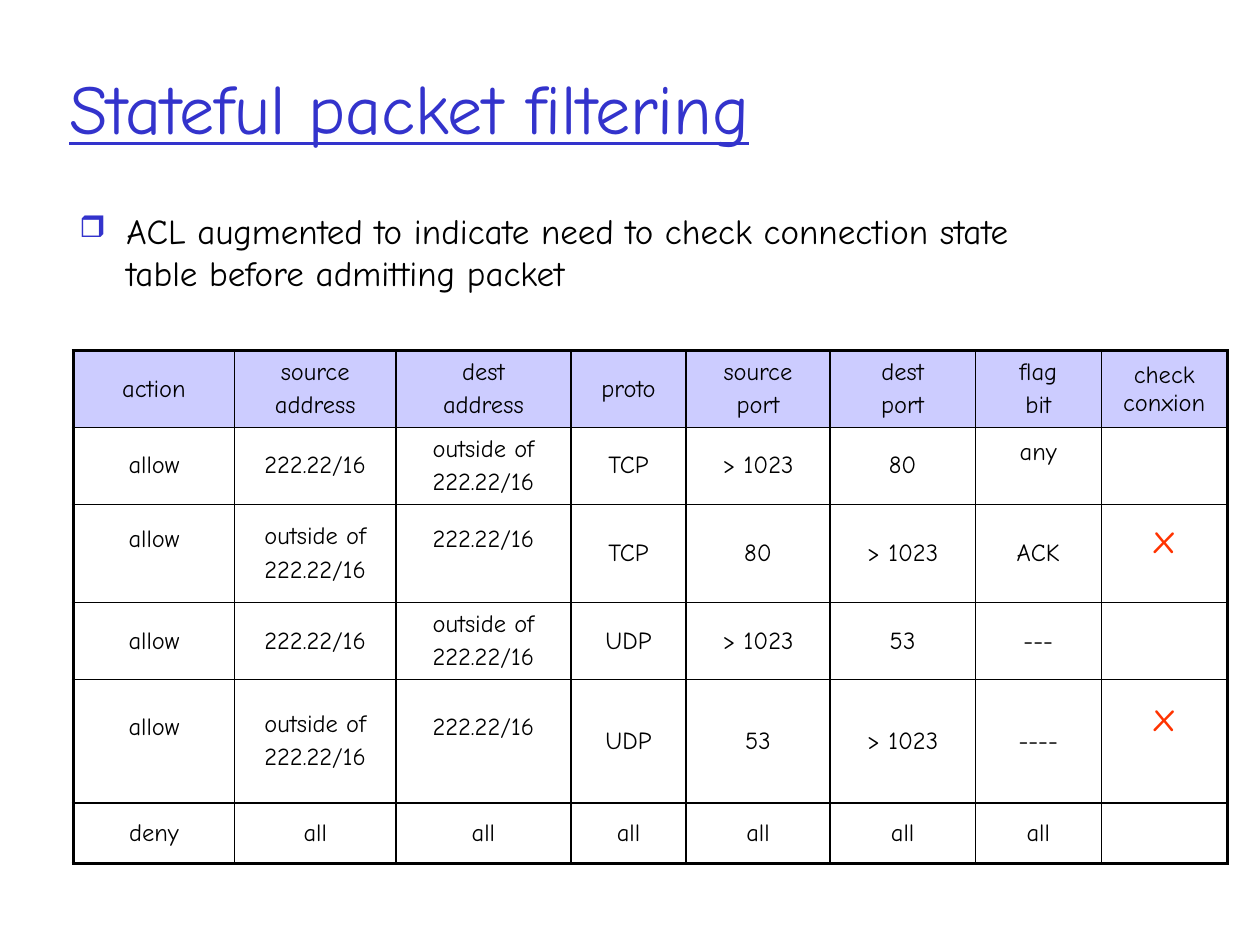
from dataclasses import dataclass

from lxml.etree import SubElement
from pptx import Presentation
from pptx.dml.color import RGBColor
from pptx.enum.text import MSO_ANCHOR as Anchor, PP_ALIGN as Align
from pptx.oxml.ns import qn
from pptx.slide import Slide
from pptx.util import Cm, Pt

BLACK = RGBColor(0x00, 0x00, 0x00)
BLUE = RGBColor(0x33, 0x33, 0xCC)
LAVENDER = RGBColor(0xCC, 0xCC, 0xFF)
RED = RGBColor(0xFF, 0x33, 0x00)

COLUMN_WIDTHS = [3.25, 3.25, 3.53, 2.32, 2.9, 2.93, 2.54, 2.54]
ROW_HEIGHTS = [1.55, 1.55, 1.98, 1.55, 2.49, 1.22]
INSIDE = "222.22/16"
OUTSIDE = "outside of\n222.22/16"
RULES = [
    ["action", "source\naddress", "dest\naddress", "proto",
     "source\nport", "dest\nport", "flag\nbit", "check conxion"],
    ["allow", INSIDE, OUTSIDE, "TCP", "> 1023", "80", "any", ""],
    ["allow", OUTSIDE, INSIDE, "TCP", "80", "> 1023", "ACK", "x"],
    ["allow", INSIDE, OUTSIDE, "UDP", "> 1023", "53", "---", ""],
    ["allow", OUTSIDE, INSIDE, "UDP", "53", "> 1023", "----", "x"],
    ["deny"] + ["all"] * 6 + [""],
]
SMALL_RAISE, LARGE_RAISE = 0.56, 0.96
RAISED_CELLS = {
    (1, 6): SMALL_RAISE,
    (2, 0): SMALL_RAISE, (2, 2): SMALL_RAISE, (2, 7): SMALL_RAISE,
    (4, 0): SMALL_RAISE, (4, 2): SMALL_RAISE, (4, 7): LARGE_RAISE,
}


@dataclass
class SlideBuilder:
    page: Slide
    font: str = "Comic Neue"
    thin: float = 1
    thick: float = 2.25

    def place(self, shape, left, top, width, height):
        shape.left, shape.top = Cm(left), Cm(top)
        shape.width, shape.height = Cm(width), Cm(height)

    def span(self, para, text, size, color, underline=None):
        span = para.add_run()
        span.text = text
        span.font.name = self.font
        span.font.size = Pt(size)
        span.font.color.rgb = color
        span.font.underline = underline

    def title(self, text, *area):
        box = self.page.shapes.title
        self.place(box, *area)
        box.text_frame.vertical_anchor = Anchor.MIDDLE
        para = box.text_frame.paragraphs[0]
        para.alignment = Align.LEFT
        self.span(para, text, 40, BLUE, underline=True)

    def bullet(self, text, left, top, width, height):
        box = self.page.shapes.add_textbox(Cm(left), Cm(top), Cm(width), Cm(height))
        box.text_frame.word_wrap = True
        para = box.text_frame.paragraphs[0]
        para.space_before = Pt(4)
        properties = para._p.get_or_add_pPr()
        properties.set("marL", str(Cm(0.95)))
        properties.set("indent", str(-Cm(0.95)))
        color = SubElement(properties, qn("a:buClr"))
        SubElement(color, qn("a:srgbClr"), val=str(BLUE))
        SubElement(properties, qn("a:buSzPct"), val="85000")
        SubElement(properties, qn("a:buChar"), char="❒")
        self.span(para, text, 20, BLACK)

    def borders(self, cell, edges):
        properties = cell._tc.get_or_add_tcPr()
        for side, outer in edges.items():
            width = Pt(self.thick if outer else self.thin)
            line = SubElement(properties, qn(f"a:ln{side}"), w=str(width))
            fill = SubElement(line, qn("a:solidFill"))
            SubElement(fill, qn("a:srgbClr"), val=str(BLACK))

    def cell_text(self, cell, text, raised):
        cell.vertical_anchor = Anchor.MIDDLE
        cell.margin_bottom = Cm(0.13 + raised)
        size, color = (24, RED) if text == "x" else (14, BLACK)
        frame = cell.text_frame
        for index, line in enumerate(text.split("\n")):
            para = frame.add_paragraph() if index else frame.paragraphs[0]
            para.alignment = Align.CENTER
            para.space_before = Pt(size * 0.2)
            if line:
                self.span(para, line, size, color)

    def table(self, rules, widths, heights, left, top):
        frame = self.page.shapes.add_table(
            len(heights), len(widths), Cm(left), Cm(top),
            Cm(sum(widths)), Cm(sum(heights)))
        table = frame.table
        table.first_row = table.horz_banding = False
        for column, width in zip(table.columns, widths):
            column.width = Cm(width)
        for row, height in zip(table.rows, heights):
            row.height = Cm(height)
        last_row, last_column = len(heights) - 1, len(widths) - 1
        for r, rule in enumerate(rules):
            for c, text in enumerate(rule):
                cell = table.cell(r, c)
                self.borders(cell, {"L": c == 0, "R": c == last_column,
                                    "T": r == 0, "B": r == last_row})
                if r == 0:
                    cell.fill.solid()
                    cell.fill.fore_color.rgb = LAVENDER
                else:
                    cell.fill.background()
                self.cell_text(cell, text, RAISED_CELLS.get((r, c), 0))


def main():
    deck = Presentation()
    deck.slide_width, deck.slide_height = Cm(25.4), Cm(19.05)
    builder = SlideBuilder(deck.slides.add_slide(deck.slide_layouts[5]))
    builder.title("Stateful packet filtering", 1.14, 0.56, 21.59, 3.18)
    builder.table(RULES, COLUMN_WIDTHS, ROW_HEIGHTS, 1.48, 7.07)
    builder.bullet("ACL augmented to indicate need to check connection state "
                   "table before admitting packet", 1.35, 4.09, 20.88, 12.75)
    deck.save("out.pptx")


if __name__ == "__main__":
    main()
